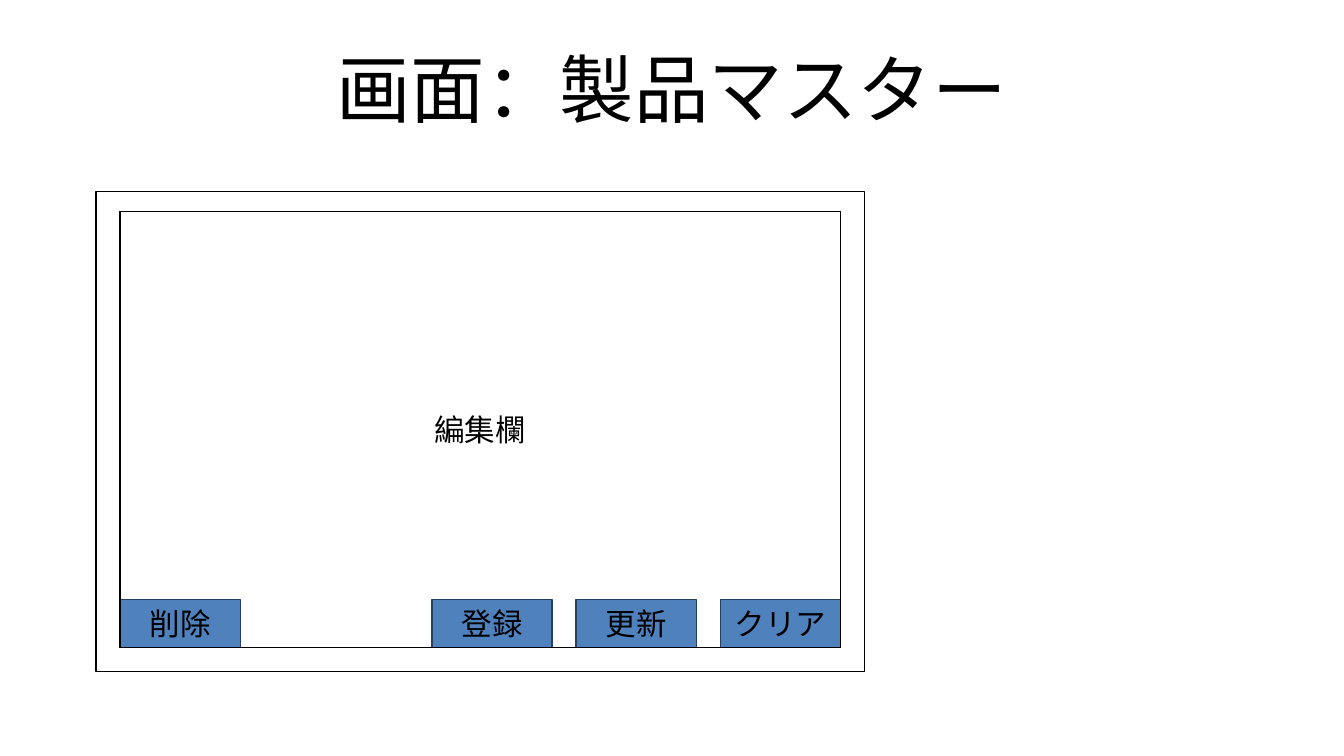
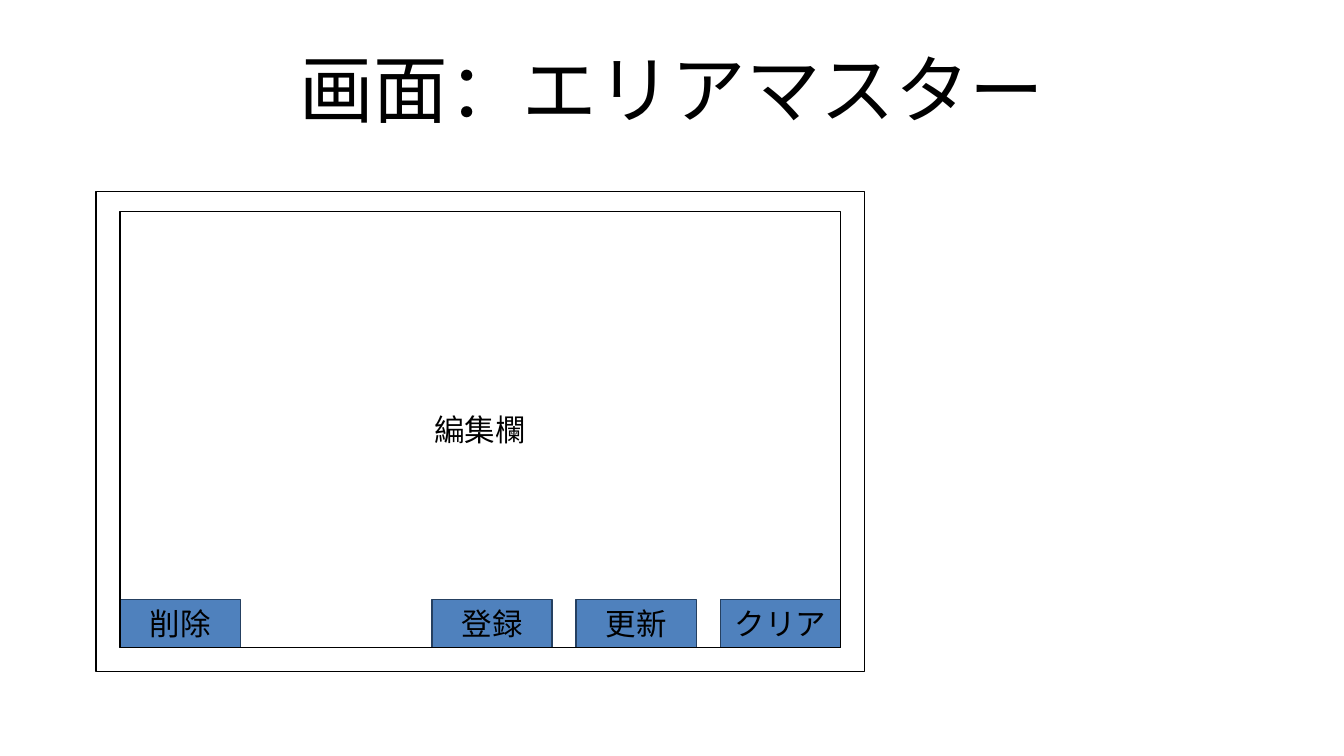
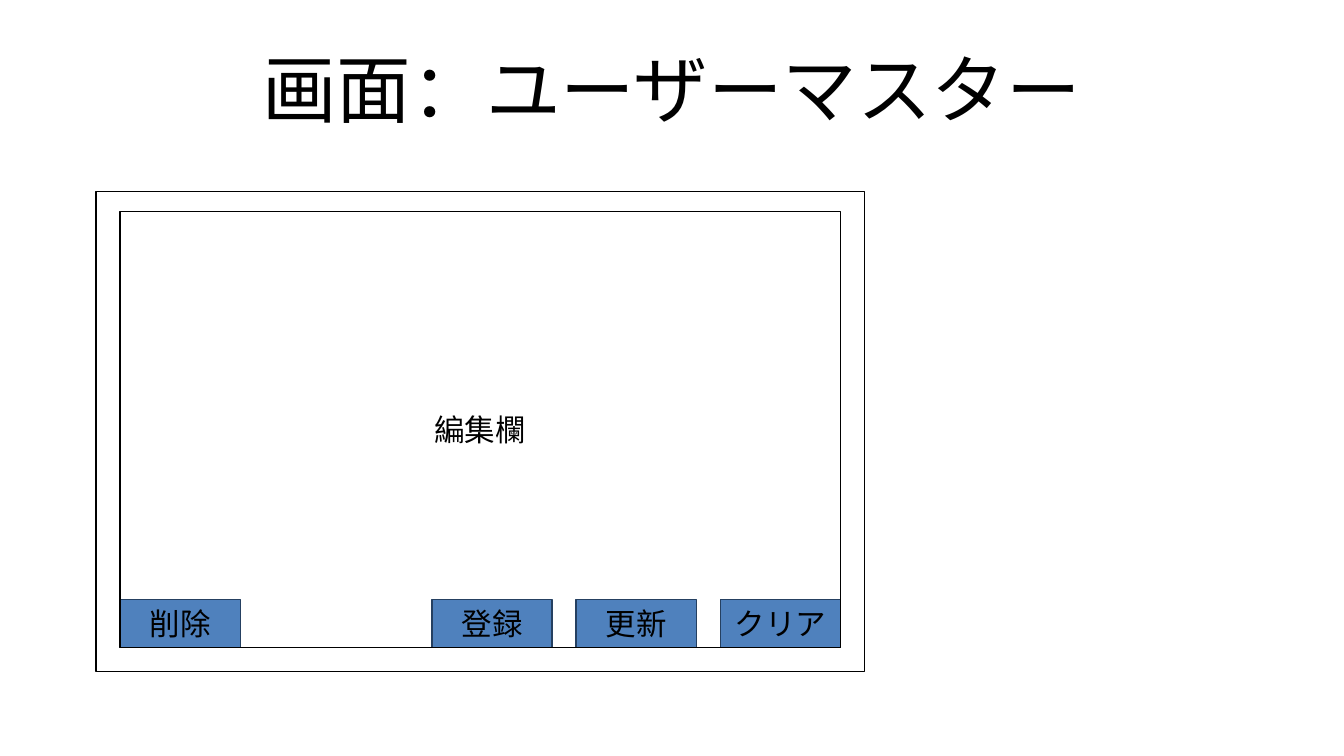
import pptx
import pptx.dml.color
import pptx.enum.shapes
import pptx.enum.text
import pptx.util

Pt = pptx.util.Pt

SCREENS = ["画面：製品マスター", "画面：エリアマスター", "画面：ユーザーマスター"]

# left, top, width, height in points
TITLE_AREA = (39.6, 18, 714.24, 74.16)
WINDOW = (56.7, 113, 453.6, 283.4)
EDIT_AREA = (70.9, 124.7, 425.2, 257.8)
BUTTON_WIDTH, BUTTON_HEIGHT, BUTTON_GAP = 70.9, 28.3, 14.2


def color(hex_code):
    return pptx.dml.color.RGBColor.from_string(hex_code)


def write(frame, text, size=18, ink="000000", font="Arial", spacing=None):
    """Set one centred line of text in a text frame."""
    frame.word_wrap = True
    frame.vertical_anchor = pptx.enum.text.MSO_ANCHOR.MIDDLE
    line = frame.paragraphs[0]
    line.alignment = pptx.enum.text.PP_ALIGN.CENTER
    if spacing:
        line.line_spacing = spacing
    run = line.add_run()
    run.text = text
    run.font.size = Pt(size)
    run.font.name = font
    run.font.color.rgb = color(ink)


class MasterScreens:
    """Deck of screen mock-ups that share one style."""

    OUTLINE = "000000"
    BUTTON_FILL = "4F81BD"
    BUTTON_LINE = "254061"

    def __init__(self):
        self.deck = pptx.Presentation()
        self.deck.slide_width = Pt(793.44)
        self.deck.slide_height = Pt(446.4)
        self.slide = None

    def new_slide(self, heading):
        self.slide = self.deck.slides.add_slide(self.deck.slide_layouts[6])
        title = self.slide.shapes.add_textbox(*map(Pt, TITLE_AREA)).text_frame
        title.margin_left = title.margin_right = 0
        title.margin_top = title.margin_bottom = 0
        write(title, heading, size=44, spacing=0.9)

    def box(self, area, label=None, fill=None, outline=OUTLINE):
        rectangle = self.slide.shapes.add_shape(
            pptx.enum.shapes.MSO_SHAPE.RECTANGLE, *map(Pt, area))
        rectangle.shadow.inherit = False
        if fill:
            rectangle.fill.solid()
            rectangle.fill.fore_color.rgb = color(fill)
        else:
            rectangle.fill.background()
        rectangle.line.color.rgb = color(outline)
        rectangle.line.width = Pt(0)
        if label:
            write(rectangle.text_frame, label)

    def button(self, label, left):
        top = EDIT_AREA[1] + EDIT_AREA[3] - BUTTON_HEIGHT
        self.box((left, top, BUTTON_WIDTH, BUTTON_HEIGHT), label,
                 fill=self.BUTTON_FILL, outline=self.BUTTON_LINE)

    def button_row(self):
        """Delete sits at the left edge, the others run up to the right edge."""
        left, right = EDIT_AREA[0], EDIT_AREA[0] + EDIT_AREA[2]
        self.button("削除", left)
        pitch = BUTTON_WIDTH + BUTTON_GAP
        for place, label in enumerate(["クリア", "更新", "登録"]):
            self.button(label, right - BUTTON_WIDTH - place * pitch)

    def add_screen(self, heading):
        self.new_slide(heading)
        self.box(WINDOW)
        self.button_row()
        self.box(EDIT_AREA, "編集欄")


def main():
    screens = MasterScreens()
    for heading in SCREENS:
        screens.add_screen(heading)
    screens.deck.save("out.pptx")


if __name__ == "__main__":
    main()
